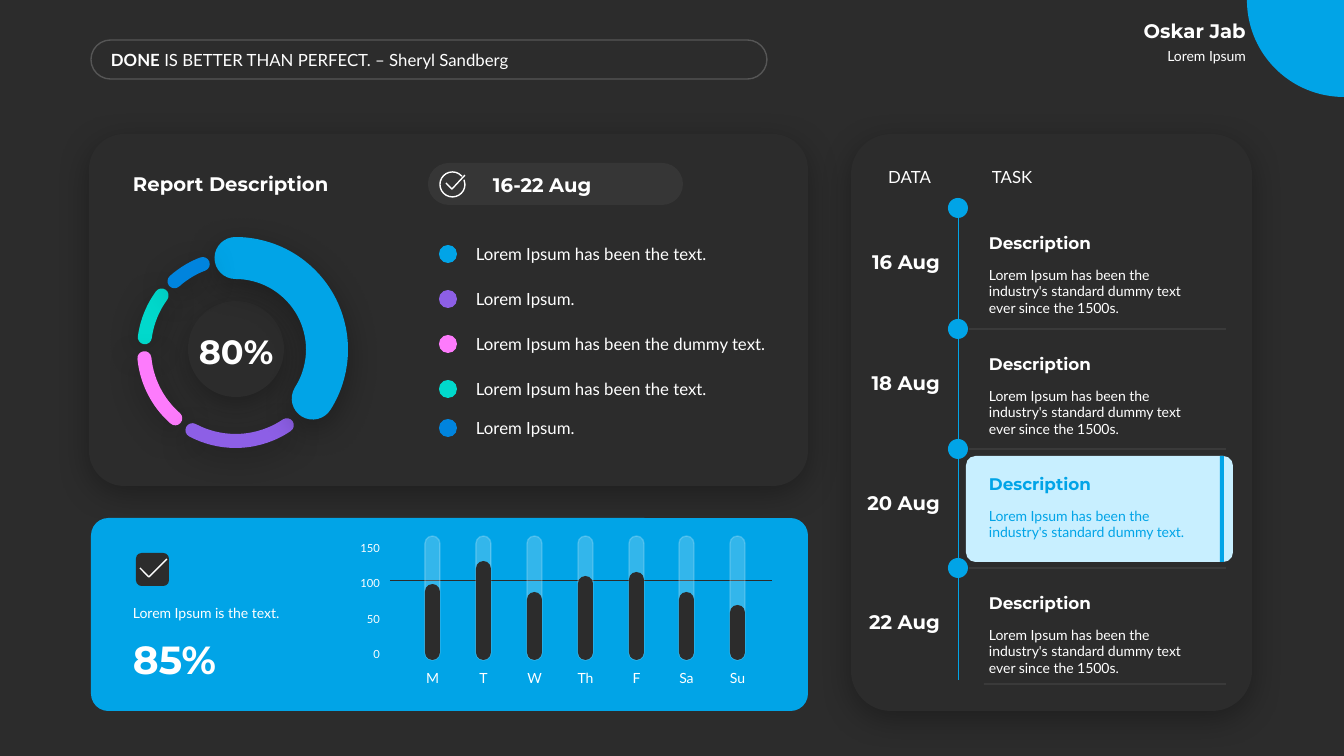
"""Build a dark weekly report dashboard slide."""
import lxml.etree
import pptx
import pptx.dml.color
import pptx.enum.shapes
import pptx.enum.text
import pptx.oxml.ns
import pptx.util

SCALE = 914400 / 100.8
DARK, WHITE, BLUE, PALE = "2C2C2C", "FFFFFF", "01A4E7", "C8EFFF"
VIOLET, PINK, TEAL, AZURE = "8D5FE6", "FD7BFC", "01D9CC", "0084DE"
KIND = pptx.enum.shapes.MSO_SHAPE
ALIGN = pptx.enum.text.PP_ALIGN
ANCHOR = pptx.enum.text.MSO_ANCHOR
TOP, MIDDLE, BOTTOM = ANCHOR.TOP, ANCHOR.MIDDLE, ANCHOR.BOTTOM


def emu(pixels):
    """Turn pixels into EMU."""
    return pptx.util.Emu(round(pixels * SCALE))


def rgb(code):
    """Turn a hex string into a colour."""
    return pptx.dml.color.RGBColor.from_string(code)


def add_node(parent, tag, **attributes):
    """Append a drawing element with its attributes."""
    values = {name: str(value) for name, value in attributes.items()}
    return lxml.etree.SubElement(parent, pptx.oxml.ns.qn(tag), values)


def fade(shape, route, percent):
    """Set the opacity of the colour found along a route."""
    for node in shape._element.spPr.xpath(route + "a:solidFill/a:srgbClr"):
        add_node(node, "a:alpha", val=percent * 1000)


def write(frame, text, size=10, font="Lato", color=WHITE, bold=False,
          align=ALIGN.LEFT, anchor=TOP, inset=10):
    """Fill a text frame with a string or a list of (text, bold) pairs."""
    frame.word_wrap = True
    frame.auto_size = pptx.enum.text.MSO_AUTO_SIZE.NONE
    frame.vertical_anchor = anchor
    frame.margin_left = frame.margin_right = emu(inset)
    frame.margin_top = frame.margin_bottom = emu(5)
    para = frame.paragraphs[0]
    para.alignment = align
    for words, strong in [(text, bold)] if isinstance(text, str) else text:
        span = para.add_run()
        span.text = words
        span.font.name = font
        span.font.size = pptx.util.Pt(size)
        span.font.bold = strong
        span.font.color.rgb = rgb(color)


class Dashboard:
    """Hold the style and the current slide."""

    def __init__(self, deck):
        """Add a dark slide with a title."""
        self.page = deck.slides.add_slide(deck.slide_layouts[5])
        self.page.background.fill.solid()
        self.page.background.fill.fore_color.rgb = rgb(DARK)

    def paint(self, shape, fill=None, line=None, width=1, opacity=100,
              line_opacity=100, shadow=False, round_cap=False):
        """Set fill, line and shadow of a shape."""
        shape.shadow.inherit = False
        if fill:
            shape.fill.solid()
            shape.fill.fore_color.rgb = rgb(fill)
        else:
            shape.fill.background()
        if line:
            shape.line.color.rgb = rgb(line)
            shape.line.width = pptx.util.Pt(width)
        else:
            shape.line.fill.background()
        if opacity < 100:
            fade(shape, "", opacity)
        if line_opacity < 100:
            fade(shape, "a:ln/", line_opacity)
        if round_cap:
            shape.line._get_or_add_ln().set("cap", "rnd")
        if shadow:
            effects = shape._element.spPr.find(pptx.oxml.ns.qn("a:effectLst"))
            outer = add_node(effects, "a:outerShdw", blurRad=23 * 12700,
                             dist=6 * 12700, dir=90 * 60000, algn="t", rotWithShape=0)
            add_node(add_node(outer, "a:srgbClr", val="000000"), "a:alpha", val=30000)

    def shape(self, kind, box, adjust=(), **style):
        """Add a preset shape."""
        shape = self.page.shapes.add_shape(kind, *map(emu, box))
        for index, value in enumerate(adjust):
            shape.adjustments[index] = value
        self.paint(shape, **style)

    def rounded(self, box, radius=0.5, **style):
        """Add a rounded rectangle."""
        self.shape(KIND.ROUNDED_RECTANGLE, box, [radius], **style)

    def dot(self, box, fill, **style):
        """Add a filled ellipse."""
        self.shape(KIND.OVAL, box, fill=fill, **style)

    def arc(self, box, start, end, **style):
        """Add an arc between two angles in degrees."""
        self.shape(KIND.ARC, box, [start * 0.6, end * 0.6], **style)

    def check(self, *points):
        """Add a white check mark through the points."""
        builder = self.page.shapes.build_freeform(*points[0], scale=SCALE)
        builder.add_line_segments(points[1:], close=False)
        self.paint(builder.convert_to_shape(), line=WHITE)

    def line(self, x1, y1, x2, y2, color, opacity=100):
        """Add a thin straight line."""
        line = self.page.shapes.add_connector(
            pptx.enum.shapes.MSO_CONNECTOR.STRAIGHT, *map(emu, (x1, y1, x2, y2)))
        line.line.color.rgb = rgb(color)
        line.line.width = pptx.util.Pt(0.5)
        add_node(line._element.spPr, "a:effectLst")
        if opacity < 100:
            fade(line, "a:ln/", opacity)

    def text(self, box, text, **style):
        """Add a text box."""
        write(self.page.shapes.add_textbox(*map(emu, box)).text_frame, text, **style)

    def heading(self, box, text, size=14, anchor=BOTTOM, **style):
        """Add a bold heading."""
        self.text(box, text, size=size, font="Montserrat", bold=True, anchor=anchor, **style)

    def title(self, box, text, **style):
        """Place and fill the title."""
        title = self.page.shapes.title
        title.left, title.top, title.width, title.height = map(emu, box)
        write(title.text_frame, text, **style)


def draw_header(board):
    """Draw the quote and the owner."""
    board.arc((1247, -97, 194, 194), 89.64, 180.45, fill=BLUE)
    board.text((1022, 43, 234, 27), "Lorem Ipsum", align=ALIGN.RIGHT)
    board.heading((1022, 13, 234, 34), "Oskar Jab", align=ALIGN.RIGHT)
    board.rounded((91, 40, 676, 39), line=WHITE, line_opacity=20)
    board.title((107, 44, 569, 31), size=12, anchor=MIDDLE, inset=4, text=[
        ("DONE", True), (" IS BETTER THAN PERFECT. – Sheryl Sandberg", False)])


def draw_report(board):
    """Draw the report panel with its ring and legend."""
    board.rounded((89, 134, 719, 352), 0.1, fill=DARK, shadow=True)
    board.heading((123, 166, 355, 34), "Report Description")
    board.rounded((428, 163, 255, 42), fill=WHITE, opacity=5)
    board.arc((440, 172, 25, 25), 338, 319, line=WHITE)
    board.check((446, 183), (452, 189), (465, 175))
    board.heading((483, 168, 190, 34), "16-22 Aug", anchor=MIDDLE)
    board.dot((188, 301, 96, 96), DARK, shadow=True)
    board.heading((182, 326, 108, 50), "80%", size=24, align=ALIGN.CENTER)
    for start, end, color, width in (
            (187.68, 216.15, TEAL, 10), (131.19, 174.5, PINK, 10),
            (55.9, 118.1, VIOLET, 10), (270, 32.43, BLUE, 30), (228.2, 249.04, AZURE, 10)):
        board.arc((144, 258, 183, 183), start, end, line=color, width=width,
                  shadow=True, round_cap=True)
    for top, color, label in (
            (245, BLUE, "Lorem Ipsum has been the text."), (290, VIOLET, "Lorem Ipsum."),
            (335, PINK, "Lorem Ipsum has been the dummy text."),
            (380, TEAL, "Lorem Ipsum has been the text."), (419, AZURE, "Lorem Ipsum.")):
        board.dot((439, top, 18, 18), color)
        board.text((466, top - 7, 318, 31), label, size=12, anchor=MIDDLE)


def draw_week(board):
    """Draw the weekly panel with its bars."""
    board.rounded((91, 518, 717, 193), 0.09, fill=BLUE)
    board.rounded((136, 553, 33, 33), 0.17, fill=DARK)
    board.check((140, 568), (149, 577), (167, 559))
    board.text((123, 599, 190, 27), "Lorem Ipsum is the text.", anchor=BOTTOM)
    board.heading((123, 630, 190, 57), "85%", size=28, anchor=TOP)
    board.line(390, 580, 772, 580, DARK)
    for index, value in enumerate((150, 100, 50, 0)):
        board.text((341, 536 + round(35.3 * index), 49, 24), str(value),
                   size=8, align=ALIGN.RIGHT)
    days = ("M", 76), ("T", 99), ("W", 68), ("Th", 84), ("F", 88), ("Sa", 68), ("Su", 55)
    for index, (day, height) in enumerate(days):
        left = 425 + round(50.9 * index)
        board.rounded((left, 536, 15, 124), fill=WHITE, opacity=20,
                      line=WHITE, line_opacity=20)
        board.rounded((left, 660 - height, 15, height), fill=DARK)
        board.text((left - 12, 665, 39, 27), day, align=ALIGN.CENTER, inset=0)


def draw_timeline(board):
    """Draw the task timeline."""
    board.rounded((851, 134, 401, 577), 0.1, fill=DARK, shadow=True)
    board.rounded((966, 456, 267, 106), 0.09, fill=PALE)
    board.text((858, 162, 83, 30), "DATA", size=12, align=ALIGN.RIGHT, anchor=MIDDLE)
    board.text((982, 162, 177, 30), "TASK", size=12, anchor=MIDDLE)
    story = "Lorem Ipsum has been the industry's standard dummy text"
    tops = 198, 319, 439, 558
    for top, day in zip(tops, (16, 18, 20, 22)):
        active = day == 20
        color = BLUE if active else WHITE
        board.line(958.5, top + 14, 958.5, top + 122, BLUE)
        if top > tops[0]:
            board.line(969, top + 10, 1226, top + 10, WHITE, 20)
        board.dot((948, top, 20, 20), BLUE)
        board.heading((859, top + 46, 85, 34), f"{day} Aug", align=ALIGN.RIGHT, inset=4)
        board.heading((979, top + 29, 239, 31), "Description", size=12, color=color)
        board.text((979, top + 63, 239, 61),
                   story + ("." if active else " ever since the 1500s."), color=color)
    board.line(984, 684, 1226, 684, WHITE, 20)
    board.shape(KIND.RECTANGLE, (1220, 456, 4, 106), fill=BLUE)


deck = pptx.Presentation()
deck.slide_width, deck.slide_height = emu(1344), emu(756)
board = Dashboard(deck)
for draw in (draw_header, draw_report, draw_week, draw_timeline):
    draw(board)
deck.save("out.pptx")
